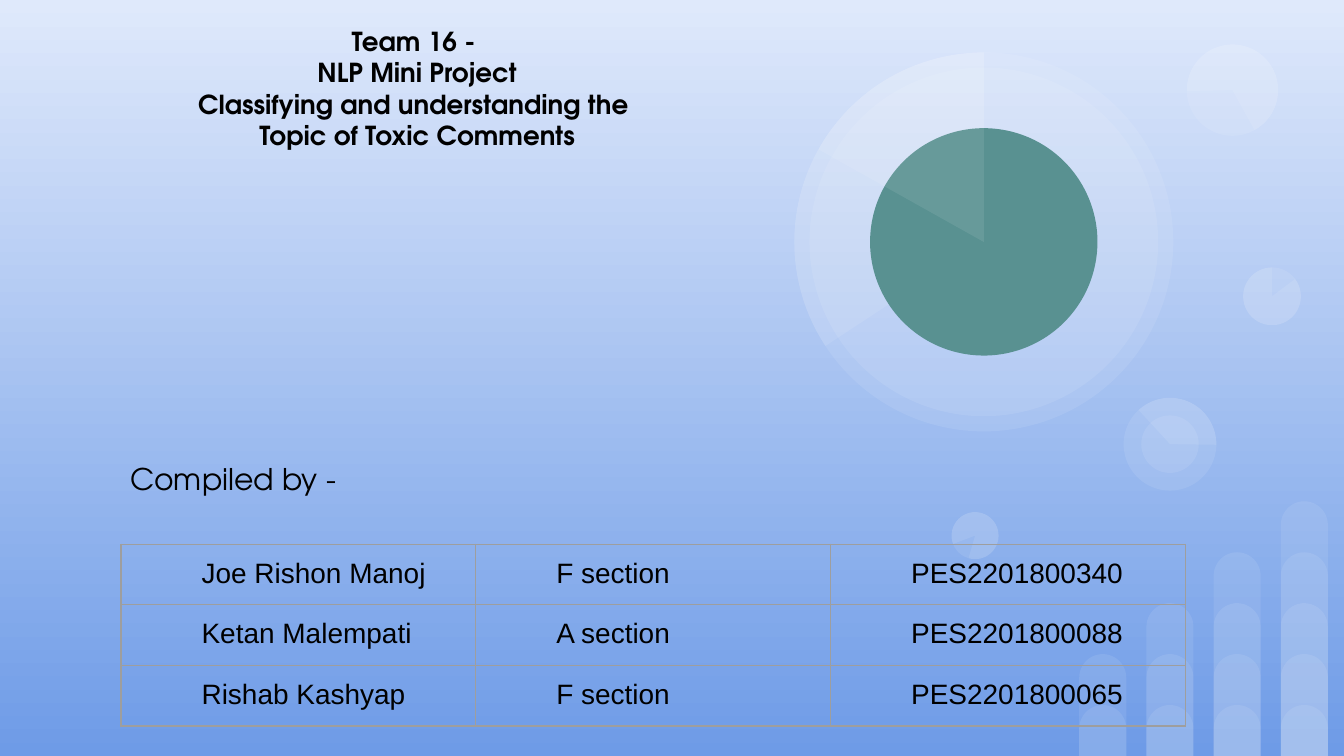
from lxml.etree import SubElement
from pptx import Presentation
from pptx.dml.color import RGBColor
from pptx.enum.shapes import MSO_SHAPE
from pptx.enum.text import MSO_ANCHOR, PP_ALIGN
from pptx.oxml import parse_xml
from pptx.oxml.ns import qn
from pptx.util import Inches, Pt

# The slide is a grid of 100 columns by 56.25 rows of square cells
WIDE, HIGH = 100, 56.25
CELL = Inches(10) / WIDE
NS = 'xmlns:a="http://schemas.openxmlformats.org/drawingml/2006/main"'
HUE = {"sky": "DFE9FB", "deep": "6E9BE7", "glass": "FFFFFF", "disc": "599191",
       "ink": "000000", "edge": "424242", "rule": "9E9E9E"}
HEAD, BODY = "TeX Gyre Adventor", "Arial"
TITLE = ["Team 16 - ", "NLP Mini Project",
         "Classifying and understanding the ", "Topic of Toxic Comments"]
TEAM = [("Joe Rishon Manoj", "F section", "PES2201800340"),
        ("Ketan Malempati", "A section", "PES2201800088"),
        ("Rishab Kashyap", "F section", "PES2201800065")]


def rgb(name):
    return RGBColor.from_string(HUE[name])


def span(*cells):
    return [round(n * CELL) for n in cells]


def inner(box, share):
    """Box with the same centre, scaled by a share."""
    x, y, w, h = box
    return (x + w * (1 - share) / 2, y + h * (1 - share) / 2, w * share, h * share)


def add_part(slide, kind, box, hue="glass", alpha=9, turn=0, adj=()):
    part = slide.shapes.add_shape(kind, *span(*box))
    part.shadow.inherit = False
    part.rotation = turn
    for i, val in enumerate(adj):
        part.adjustments[i] = val
    part.fill.solid()
    part.fill.fore_color.rgb = rgb(hue)
    if alpha < 100:
        tint = part.fill._xPr.find(".//" + qn("a:srgbClr"))
        SubElement(tint, qn("a:alpha"), val=str(alpha * 1000))
    part.line.fill.background()


def add_pie(slide, box, start, end=162, turn=0):
    add_part(slide, MSO_SHAPE.PIE, box, turn=turn, adj=(start, end))


def add_run(para, text, size, font, bold=False):
    run = para.add_run()
    run.text = text
    run.font.size = Pt(size)
    run.font.name = font
    run.font.bold = bold
    run.font.color.rgb = rgb("ink")
    return run


def add_box(slide, box, inset):
    frame = slide.shapes.add_textbox(*span(*box)).text_frame
    frame.word_wrap = True
    frame.vertical_anchor = MSO_ANCHOR.TOP
    frame.margin_left = frame.margin_right = Inches(0.1)
    frame.margin_top = frame.margin_bottom = Inches(inset)
    return frame.paragraphs[0]


def draw_back(slide):
    fill = slide.background.fill
    fill.gradient()
    fill.gradient_angle = 270
    for stop, name, pos in zip(fill.gradient_stops, ("sky", "deep"), (0, 1)):
        stop.color.rgb = rgb(name)
        stop.position = pos


def draw_bars(slide, box, cols=4):
    """Stacked see-through columns, each one step taller than the last."""
    x, y, w, h = box
    step = h / (cols + 1)
    pitch = w / (cols - 0.3)
    for col in range(cols):
        for level in range(1, col + 3):
            tall = level * step
            add_part(slide, MSO_SHAPE.ROUND_2_SAME_RECTANGLE,
                     (x + col * pitch, y + h - tall, pitch * 0.7, tall), adj=(0.5, 0))


def draw_dot(slide, box, start, end=162, turn=0, core=0):
    add_part(slide, MSO_SHAPE.OVAL, box, turn=turn)
    add_pie(slide, box, start, end, turn)
    if core:
        add_part(slide, MSO_SHAPE.OVAL, inner(box, core), turn=turn)


def draw_dial(slide, box):
    add_part(slide, MSO_SHAPE.OVAL, box)
    add_part(slide, MSO_SHAPE.OVAL, inner(box, 0.92), turn=34.1)
    add_pie(slide, box, 88.01)
    add_part(slide, MSO_SHAPE.OVAL, inner(box, 0.6), "disc", 100, 34.1)
    add_pie(slide, box, 125.54)


def draw_title(slide, box):
    para = add_box(slide, box, 0.05)
    para.alignment = PP_ALIGN.CENTER
    for i, text in enumerate(TITLE):
        if i:
            para.add_line_break()
        run = add_run(para, text, 14, HEAD, True)
        # Thin outline round the letters
        run.font._element.insert(0, parse_xml(
            f'<a:ln {NS} w="{Pt(0.75)}"><a:solidFill>'
            f'<a:srgbClr val="{HUE["edge"]}"/></a:solidFill></a:ln>'))


def draw_label(slide, box):
    add_run(add_box(slide, box, 0.1), "Compiled by -", 16, HEAD)


def set_edges(cell):
    props = cell._tc.get_or_add_tcPr()
    for i, side in enumerate(("lnL", "lnR", "lnT", "lnB")):
        props.insert(i, parse_xml(
            f'<a:{side} {NS} w="{Pt(0.75)}"><a:solidFill>'
            f'<a:srgbClr val="{HUE["rule"]}"/></a:solidFill></a:{side}>'))


def draw_team(slide, box, wide=26.4, tall=4.2):
    frame = slide.shapes.add_table(len(TEAM), len(TEAM[0]), *span(*box))
    table = frame.table
    table.first_row = table.horz_banding = False
    for col in table.columns:
        col.width = span(wide)[0]
    for row in table.rows:
        row.height = span(tall)[0]
    # Rows grow to fit their text within the frame
    frame.width, frame.height = span(*box[2:])
    for r, row in enumerate(TEAM):
        for c, text in enumerate(row):
            cell = table.cell(r, c)
            cell.fill.background()
            cell.margin_left = cell.margin_right = Inches(0.1)
            cell.margin_top = cell.margin_bottom = Inches(0.1)
            para = cell.text_frame.paragraphs[0]
            props = para._p.get_or_add_pPr()
            props.set("marL", str(Inches(0.5)))
            props.set("indent", "0")
            add_run(para, text, 15, BODY)
            set_edges(cell)


def main():
    deck = Presentation()
    deck.slide_width, deck.slide_height = span(WIDE, HIGH)
    slide = deck.slides.add_slide(deck.slide_layouts[6])
    # Backdrop
    draw_back(slide)
    draw_bars(slide, (80.3, 37.3, 18.5, 18.95))
    draw_dot(slide, (92.5, 19.9, 4.3, 4.3), 193.77)
    draw_dot(slide, (70.8, 38.1, 3.5, 3.5), 193.77, turn=196.2)
    draw_dot(slide, (83.6, 29.6, 6.9, 6.9), 82.45, 162.46, 90, 0.62)
    draw_dot(slide, (88.3, 3.3, 6.8, 6.8), 193.77, 123.14, 215.9)
    draw_dial(slide, (59.1, 3.9, 28.2, 28.2))
    # Content
    draw_label(slide, (8.7, 33.3, 46.5, 7.6))
    draw_team(slide, (9, 40.5, 32.8, 32.8))
    draw_title(slide, (0.3, 1.4, 61.5, 27.6))
    deck.save("out.pptx")


if __name__ == "__main__":
    main()
